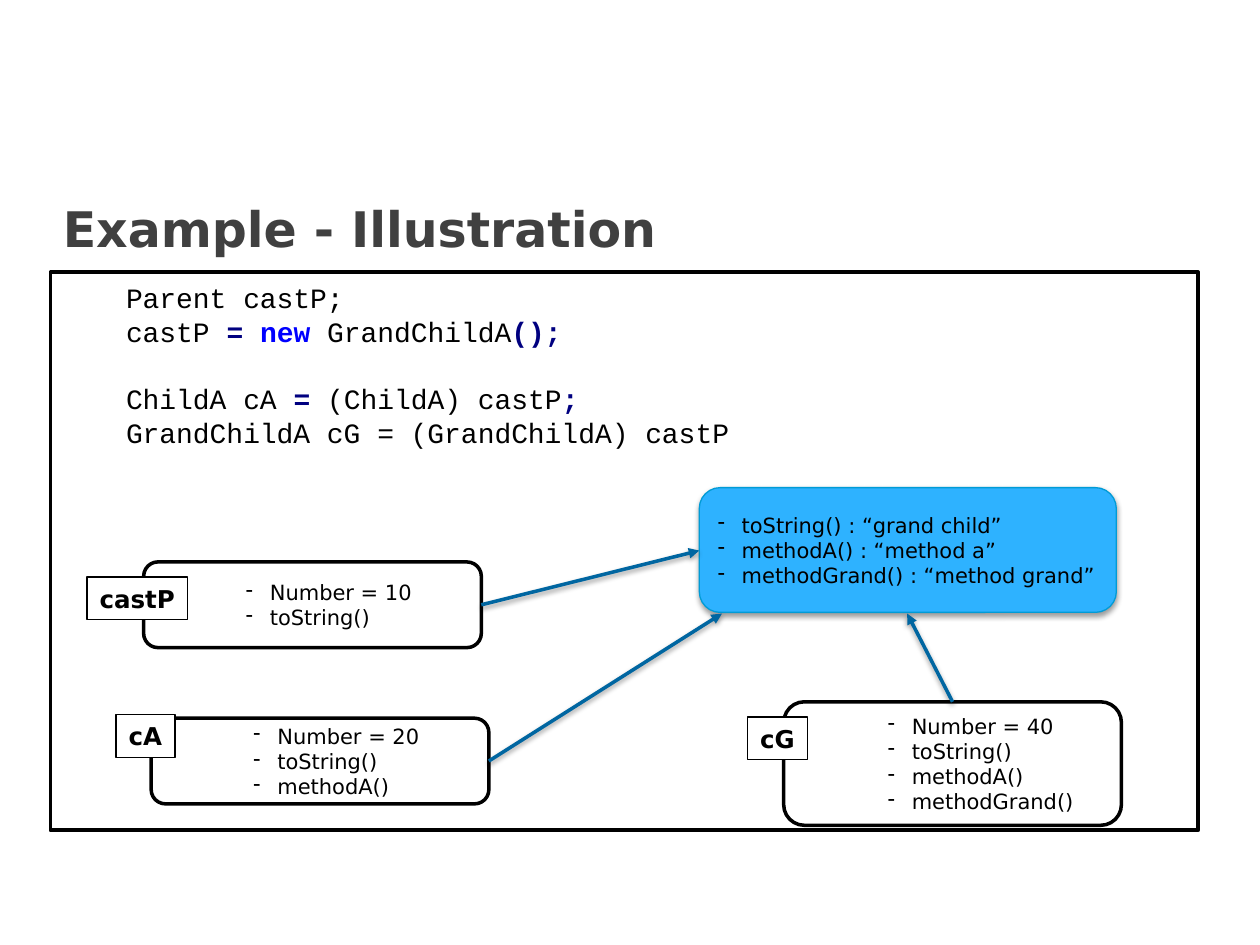
from lxml import etree
from pptx import Presentation
from pptx import util as u
from pptx.dml.color import RGBColor
from pptx.enum import shapes, text
from pptx.oxml import parse_xml
from pptx.oxml.ns import nsdecls, qn

BLACK = RGBColor(0x00, 0x00, 0x00)
WHITE = RGBColor(0xFF, 0xFF, 0xFF)
GREY = RGBColor(0x40, 0x40, 0x40)
NAVY = RGBColor(0x00, 0x00, 0x80)
KEYWORD = RGBColor(0x00, 0x00, 0xFF)
SKY = RGBColor(0x2E, 0xB2, 0xFF)
SKY_EDGE = RGBColor(0x00, 0x9B, 0xD6)
ARROW = RGBColor(0x00, 0x66, 0xA1)
SANS, MONO = "DejaVu Sans", "Courier New"

TITLE = "Example - Illustration"
LEFT, WIDTH = 0.4, 9.11
TITLE_AREA = (LEFT, 1.46, WIDTH, 0.7)
CODE_AREA = (LEFT, 2.16, WIDTH, 4.43)
CODE_LEADING = 19.2

# Each statement: gap before it in lines, then (code, colour) pieces; non-black is bold
CODE = [
    (0, [("Parent castP;", BLACK)]),
    (0, [("castP ", BLACK), ("= ", NAVY), ("new ", KEYWORD),
         ("GrandChildA", BLACK), ("();", NAVY)]),
    (1, [("ChildA cA ", BLACK), ("= ", NAVY), ("(ChildA) castP", BLACK), (";", NAVY)]),
    (0, [("GrandChildA cG = (GrandChildA) castP", BLACK)]),
]

# Variable name, name tag area, object area, members
VARIABLES = [
    ("castP", (0.69, 4.58, 0.8, 0.34), (1.14, 4.46, 2.68, 0.68),
     ["Number = 10", "toString()"]),
    ("cA", (0.92, 5.67, 0.47, 0.34), (1.2, 5.7, 2.68, 0.68),
     ["Number = 20", "toString()", "methodA()"]),
    ("cG", (5.93, 5.69, 0.48, 0.34), (6.22, 5.57, 2.68, 0.98),
     ["Number = 40", "toString()", "methodA()", "methodGrand()"]),
]
INSTANCE_AREA = (5.55, 3.87, 3.31, 0.99)
INSTANCE_METHODS = ["toString() : “grand child”", "methodA() : “method a”",
                    "methodGrand() : “method grand”"]
REFERENCES = [
    ((3.82, 4.8), (5.55, 4.37)),
    ((3.88, 6.04), (5.73, 4.87)),
    ((7.56, 5.57), (7.2, 4.87)),
]


def inches(values):
    return [u.Inches(value) for value in values]


def style(font, name, size, colour, bold=False):
    font.name, font.size, font.bold = name, u.Pt(size), bold
    font.color.rgb = colour


def add_box(page, kind, area, fill, line, weight):
    box = page.shapes.add_shape(kind, *inches(area))
    box.shadow.inherit = False
    box.fill.solid()
    box.fill.fore_color.rgb = fill
    box.line.color.rgb = line
    box.line.width = u.Pt(weight)
    return box


def add_soft_shadow(shape):
    properties = shape._element.spPr
    for effects in properties.findall(qn("a:effectLst")):
        properties.remove(effects)
    properties.append(parse_xml(
        f'<a:effectLst {nsdecls("a")}>'
        '<a:outerShdw blurRad="39370" dist="20320" dir="5400000" rotWithShape="0">'
        '<a:srgbClr val="000000"><a:alpha val="38000"/></a:srgbClr>'
        '</a:outerShdw></a:effectLst>'))


def add_members(box, members, indent):
    """Fill a box with a dashed list."""
    frame = box.text_frame
    frame.word_wrap = True
    frame.vertical_anchor = text.MSO_ANCHOR.MIDDLE
    frame.text = "\n".join(members)
    for para in frame.paragraphs:
        para.alignment = text.PP_ALIGN.LEFT
        properties = para._p.get_or_add_pPr()
        properties.set("marL", str(u.Inches(indent)))
        properties.set("indent", str(u.Inches(-0.19)))
        etree.SubElement(properties, qn("a:buChar"), char="-")
        style(para.runs[0].font, SANS, 12, BLACK)


def add_title(page):
    frame = page.shapes.add_textbox(*inches(TITLE_AREA)).text_frame
    frame.word_wrap = True
    frame.vertical_anchor = text.MSO_ANCHOR.MIDDLE
    frame.text = TITLE
    style(frame.paragraphs[0].runs[0].font, SANS, 28, GREY, True)


def add_code(page):
    box = add_box(page, shapes.MSO_SHAPE.RECTANGLE, CODE_AREA, WHITE, BLACK, 2)
    frame = box.text_frame
    frame.word_wrap = True
    frame.vertical_anchor = text.MSO_ANCHOR.TOP
    frame.margin_left, frame.margin_top = inches((0.6, 0.07))
    for number, (gap, pieces) in enumerate(CODE):
        para = frame.add_paragraph() if number else frame.paragraphs[0]
        para.alignment = text.PP_ALIGN.LEFT
        para.line_spacing = u.Pt(CODE_LEADING)
        if gap:
            para.space_before = u.Pt(gap * CODE_LEADING)
        for code, colour in pieces:
            span = para.add_run()
            span.text = code
            style(span.font, MONO, 16, colour, colour != BLACK)


def add_variable(page, name, tag_area, area, members):
    box = add_box(page, shapes.MSO_SHAPE.ROUNDED_RECTANGLE, area, WHITE, BLACK, 2)
    add_members(box, members, 0.87)
    tag = add_box(page, shapes.MSO_SHAPE.RECTANGLE, tag_area, WHITE, BLACK, 0.75)
    frame = tag.text_frame
    frame.word_wrap = False
    frame.auto_size = text.MSO_AUTO_SIZE.SHAPE_TO_FIT_TEXT
    frame.text = name
    frame.paragraphs[0].alignment = text.PP_ALIGN.CENTER
    style(frame.paragraphs[0].runs[0].font, SANS, 14, BLACK, True)


def add_reference(page, start, end):
    arrow = page.shapes.add_connector(shapes.MSO_CONNECTOR.STRAIGHT, *inches(start + end))
    arrow.line.color.rgb = ARROW
    arrow.line.width = u.Pt(2)
    etree.SubElement(arrow.line._get_or_add_ln(), qn("a:tailEnd"), type="triangle")
    add_soft_shadow(arrow)


def main():
    deck = Presentation()
    deck.slide_width, deck.slide_height = inches((10, 7.5))
    page = deck.slides.add_slide(deck.slide_layouts[6])
    add_code(page)
    add_title(page)
    instance = add_box(page, shapes.MSO_SHAPE.ROUNDED_RECTANGLE, INSTANCE_AREA,
                       SKY, SKY_EDGE, 0.75)
    add_soft_shadow(instance)
    add_members(instance, INSTANCE_METHODS, 0.19)
    for variable in VARIABLES:
        add_variable(page, *variable)
    for start, end in REFERENCES:
        add_reference(page, start, end)
    deck.save("out.pptx")


if __name__ == "__main__":
    main()
